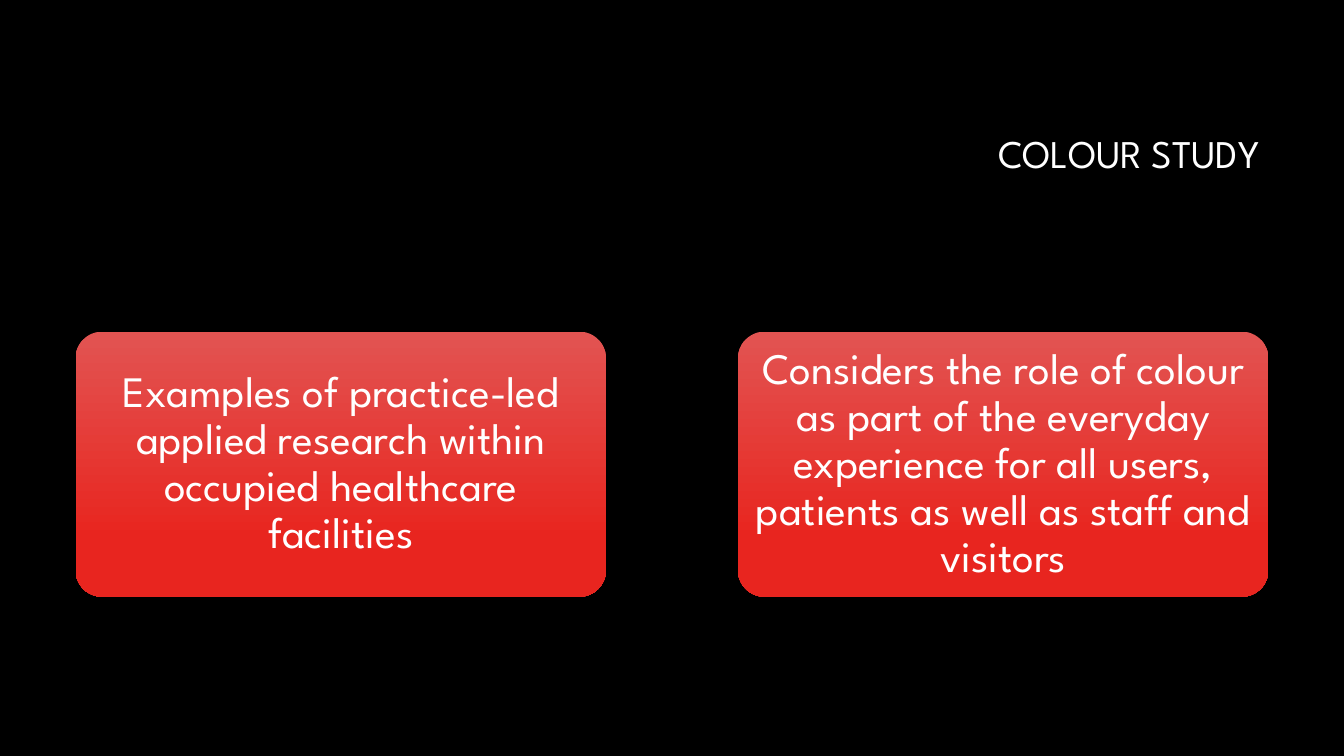
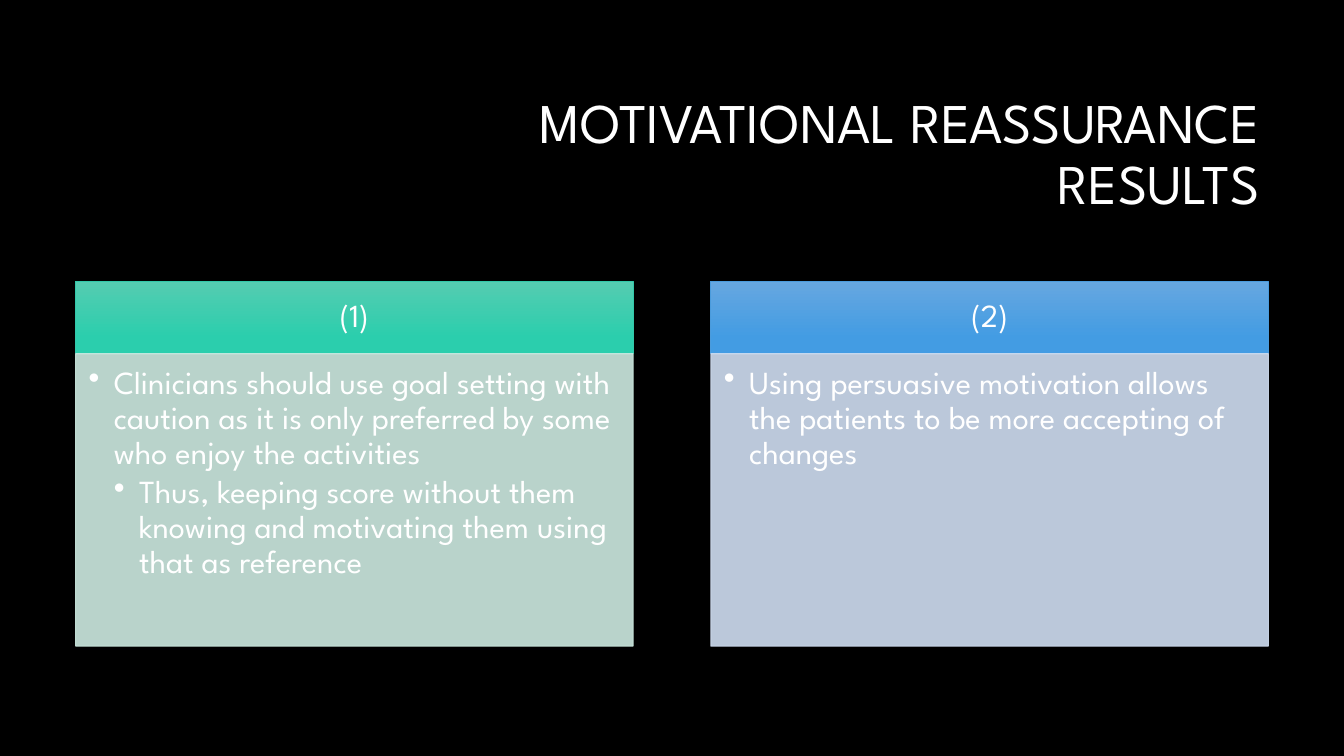
from dataclasses import dataclass
from typing import Any, NamedTuple, Optional

from lxml.etree import SubElement
from pptx import Presentation
from pptx.dml.color import RGBColor
from pptx.enum.shapes import MSO_SHAPE
from pptx.enum.text import MSO_ANCHOR, PP_ALIGN
from pptx.oxml.ns import qn
from pptx.util import Inches, Pt


@dataclass(frozen=True)
class Theme:
    """Colours, font and type sizes of the deck."""
    font: str = "League Spartan"
    background: str = "000000"
    text: str = "FFFFFF"
    red: tuple[str, str] = ("E25452", "E8251F")
    green: tuple[str, str] = ("55CCB1", "2BCEAD")
    blue: tuple[str, str] = ("66A7E0", "439CE3")
    green_line: str = "32C7A9"
    blue_line: str = "4A9BDC"
    green_pale: str = "CEEBE2"
    blue_pale: str = "D0DEF2"
    title: int = 40
    title_small: int = 28
    card: int = 31
    column: int = 23


class Box(NamedTuple):
    """Left, top, width and height in inches."""
    left: float
    top: float
    width: float
    height: float

    def lengths(self) -> list[int]:
        """Return the box as slide lengths."""
        return [Inches(v) for v in self]


class Item(NamedTuple):
    """Bulleted text with its level."""
    text: str
    level: int = 0


@dataclass(frozen=True)
class Column:
    """A headed list with its colours."""
    heading: str
    items: list[Item]
    gradient: tuple[str, str]
    line: str
    pale: str


THEME = Theme()
TITLE_BOX = Box(3.17, 0.84, 9.42, 1.41)
CARD_BOX = Box(0.75, 3.29, 5.26, 2.63)
HEAD_BOX = Box(0.75, 2.79, 5.53, 0.72)
LIST_BOX = Box(0.75, 3.51, 5.53, 2.9)
CARD_STEP, COLUMN_STEP = 6.57, 6.3
INDENT = 0.25
CARD_INSETS = (0.06, 0.04, 0.06, 0.04)
HEAD_INSETS = (0.18, 0.1, 0.18, 0.1)
LIST_INSETS = (0.13, 0.13, 0.18, 0.2)

CARDS = [
    "Examples of practice-led applied research within occupied healthcare facilities",
    "Considers the role of colour as part of the everyday experience for all users, "
    "patients as well as staff and visitors",
]
COLUMNS = [
    Column("(1)", [
        Item("Clinicians should use goal setting with caution as it is only "
             "preferred by some who enjoy the activities"),
        Item("Thus, keeping score without them knowing and motivating them "
             "using that as reference", 1),
    ], THEME.green, THEME.green_line, THEME.green_pale),
    Column("(2)", [
        Item("Using persuasive motivation allows the patients to be more accepting of changes"),
    ], THEME.blue, THEME.blue_line, THEME.blue_pale),
]


def apply(target: Any, formats: dict[str, Any]) -> None:
    """Set each named attribute on the target."""
    for name, value in formats.items():
        setattr(target, name, value)


def shifted(box: Box, step: float, index: int) -> Box:
    """Return the box moved right by a number of steps."""
    return box._replace(left=box.left + step * index)


def write(sp: Any, items: list[Item], size: int, align: PP_ALIGN,
          insets: tuple[float, ...] = (0.1, 0.05, 0.1, 0.05),
          anchor: MSO_ANCHOR = MSO_ANCHOR.MIDDLE, bullets: bool = False) -> None:
    """Fill a shape with paragraphs in the deck's type style."""
    tf = sp.text_frame
    sides = ("margin_left", "margin_top", "margin_right", "margin_bottom")
    apply(tf, {"word_wrap": True, "vertical_anchor": anchor,
               **{side: Inches(v) for side, v in zip(sides, insets)}})
    for i, item in enumerate(items):
        p = tf.add_paragraph() if i else tf.paragraphs[0]
        apply(p, {"alignment": align, "line_spacing": 0.9, "level": item.level})
        r = p.add_run()
        r.text = item.text
        apply(r.font, {"name": THEME.font, "size": Pt(size)})
        r.font.color.rgb = RGBColor.from_string(THEME.text)
        if bullets:
            p.space_after = Pt(0.15 * size)
            pPr = p._p.get_or_add_pPr()
            pPr.set("marL", str(Inches(INDENT * (item.level + 1))))
            pPr.set("indent", str(Inches(-INDENT)))
            SubElement(pPr, qn("a:buChar"), char="•")


def add_panel(s: Any, kind: MSO_SHAPE, box: Box, line: Optional[str] = None) -> Any:
    """Add a shape without shadow and with an optional outline."""
    sp = s.shapes.add_shape(kind, *box.lengths())
    sp.shadow.inherit = False
    if line:
        sp.line.color.rgb = RGBColor.from_string(line)
        sp.line.width = Pt(0.75)
    else:
        sp.line.fill.background()
    return sp


def shade(sp: Any, colours: tuple[str, str]) -> None:
    """Apply a gradient that runs from top to bottom."""
    sp.fill.gradient()
    sp.fill.gradient_angle = 270
    for stop, colour, position in zip(sp.fill.gradient_stops, colours, (0, 0.78)):
        stop.color.rgb = RGBColor.from_string(colour)
        stop.position = position


def tint(sp: Any, colour: str) -> None:
    """Apply a solid fill and make fill and outline slightly transparent."""
    sp.fill.solid()
    sp.fill.fore_color.rgb = RGBColor.from_string(colour)
    for clr in sp._element.spPr.iter(qn("a:srgbClr")):
        SubElement(clr, qn("a:alpha"), val="90000")


def add_slide(prs: Any, title: str, size: int) -> Any:
    """Add a dark slide with a right-aligned title."""
    s = prs.slides.add_slide(prs.slide_layouts[6])
    s.background.fill.solid()
    s.background.fill.fore_color.rgb = RGBColor.from_string(THEME.background)
    write(s.shapes.add_textbox(*TITLE_BOX.lengths()), [Item(title)], size, PP_ALIGN.RIGHT)
    return s


def add_card(s: Any, box: Box, text: str) -> None:
    """Add a rounded red card with centred text."""
    sp = add_panel(s, MSO_SHAPE.ROUNDED_RECTANGLE, box)
    sp.adjustments[0] = 0.1
    shade(sp, THEME.red)
    write(sp, [Item(text)], THEME.card, PP_ALIGN.CENTER, CARD_INSETS)


def add_column(s: Any, column: Column, index: int) -> None:
    """Add a heading band above a bulleted panel."""
    head = add_panel(s, MSO_SHAPE.RECTANGLE, shifted(HEAD_BOX, COLUMN_STEP, index), column.line)
    shade(head, column.gradient)
    write(head, [Item(column.heading)], THEME.column, PP_ALIGN.CENTER, HEAD_INSETS)
    body = add_panel(s, MSO_SHAPE.RECTANGLE, shifted(LIST_BOX, COLUMN_STEP, index), column.pale)
    tint(body, column.pale)
    write(body, column.items, THEME.column, PP_ALIGN.LEFT, LIST_INSETS,
          MSO_ANCHOR.TOP, bullets=True)


def main() -> None:
    """Build and save the deck."""
    prs = Presentation()
    apply(prs, {"slide_width": Inches(13.33), "slide_height": Inches(7.5)})
    s = add_slide(prs, "COLOUR STUDY", THEME.title_small)
    for i, text in enumerate(CARDS):
        add_card(s, shifted(CARD_BOX, CARD_STEP, i), text)
    s = add_slide(prs, "MOTIVATIONAL REASSURANCE RESULTS", THEME.title)
    for i, column in enumerate(COLUMNS):
        add_column(s, column, i)
    prs.save("out.pptx")


main()
